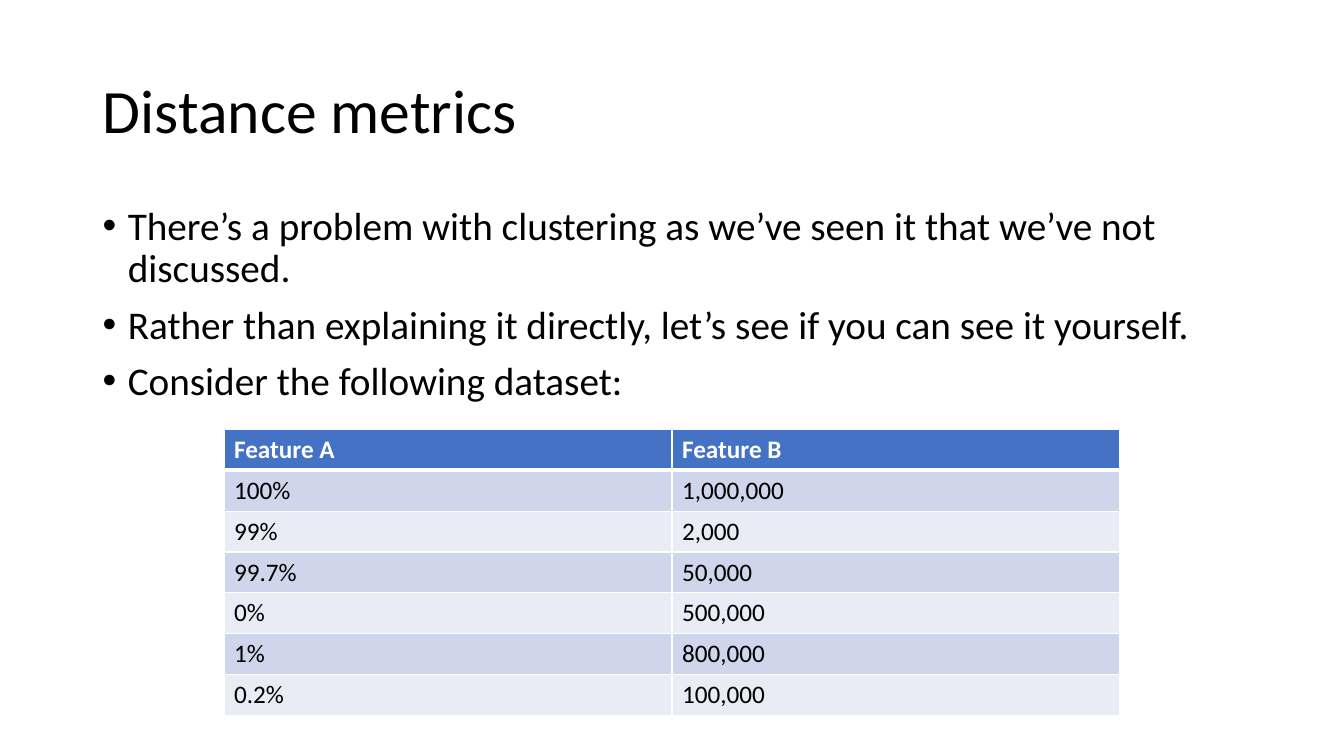
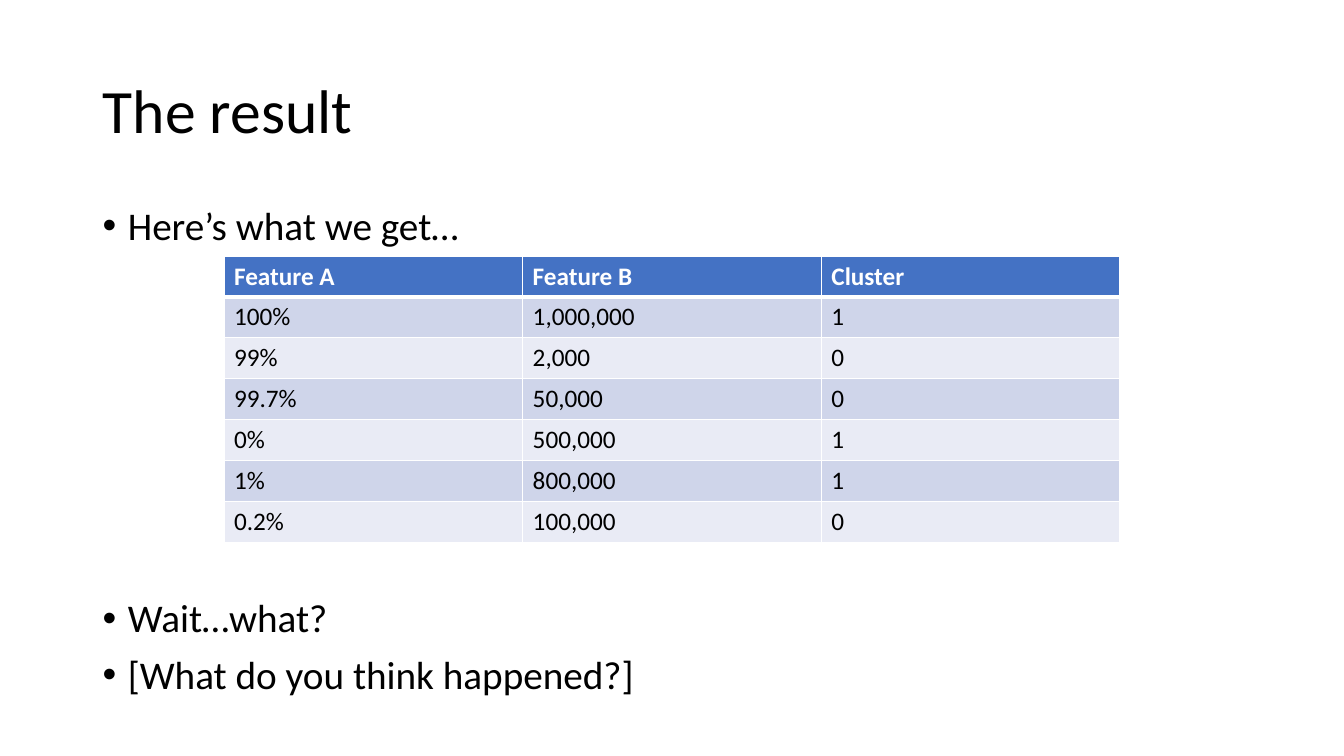
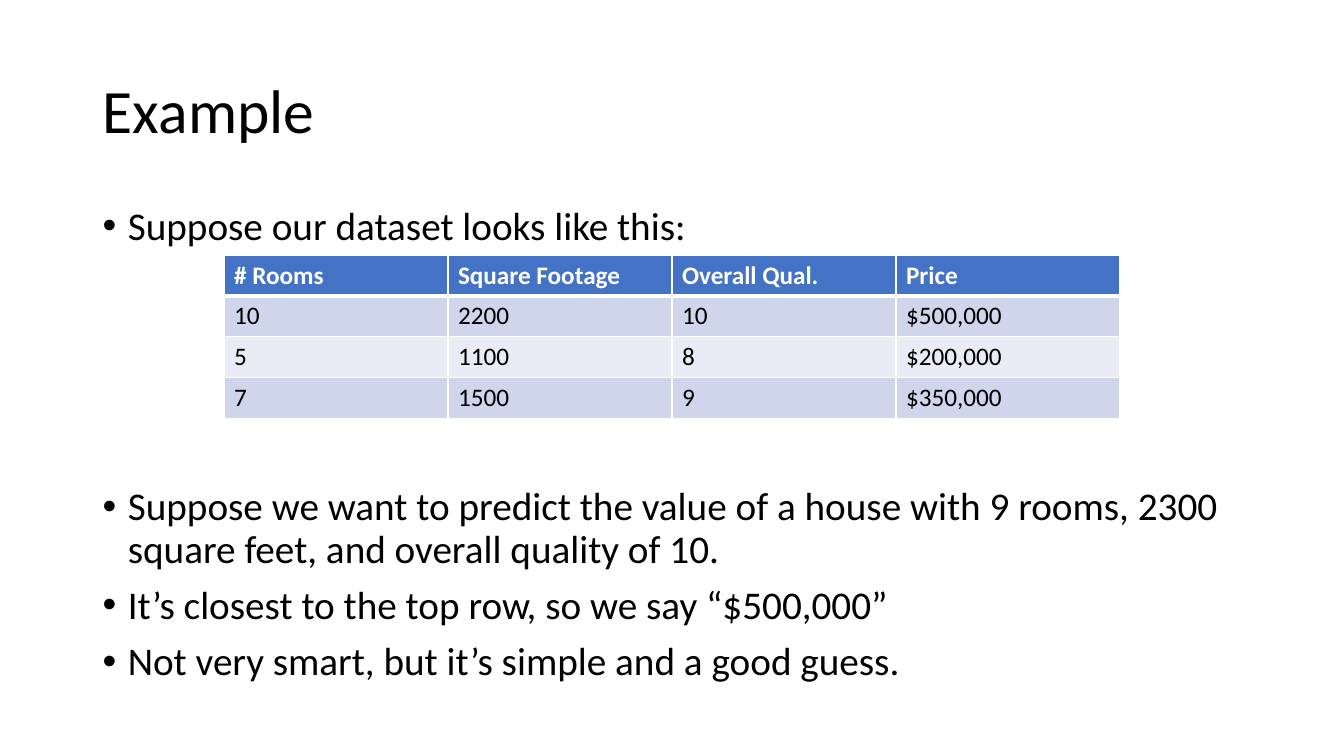
from lxml import etree
from pptx import Presentation
from pptx.dml.color import RGBColor
from pptx.enum.text import MSO_ANCHOR, MSO_AUTO_SIZE, PP_ALIGN
from pptx.oxml.ns import qn
from pptx.util import Inches, Pt

LEFT, MIDDLE, FIXED = PP_ALIGN.LEFT, MSO_ANCHOR.MIDDLE, MSO_AUTO_SIZE.NONE
TITLE_ONLY = 5

# Shared style
FONT = "Calibri"
INK = {"text": "000000", "paper": "FFFFFF", "head": "4472C4",
       "odd": "CFD5EA", "even": "E9EBF5"}
WIDE, HIGH = Inches(13.33), Inches(7.5)
COL = WIDE / 12
ROW = Pt(29.2)
STEP = 40   # points taken by one line of body text and the gap above it
GAP = 10

# Boxes: left, top, width, height
TITLE = (Inches(0.92), Inches(0.4), Inches(11.5), Inches(1.45))
BODY = (Inches(0.92), Inches(2), Inches(11.5), Inches(5.1))


def place(shape, box):
    shape.left, shape.top, shape.width, shape.height = box


def style(para, size, color, bold=False):
    para.alignment = LEFT
    font = para.font
    font.name, font.size, font.bold = FONT, Pt(size), bold
    font.color.rgb = RGBColor.from_string(INK[color])


def add_title(slide, box, text):
    title = slide.shapes.title
    place(title, box)
    frame = title.text_frame
    frame.text = text
    frame.auto_size, frame.vertical_anchor = FIXED, MIDDLE
    para = frame.paragraphs[0]
    para.line_spacing = 0.9
    style(para, 44, "text")


def add_bullets(slide, box, items, skip):
    """Write bullets; the second one starts `skip` lines lower."""
    frame = slide.shapes.add_textbox(*box).text_frame
    frame.word_wrap = True
    frame.text = "\n".join(items)
    for i, para in enumerate(frame.paragraphs):
        style(para, 28, "text")
        para.line_spacing = 0.9
        para.space_before = Pt(GAP + (STEP * skip if i == 1 else 0))
        props = para._p.get_or_add_pPr()
        props.set("marL", str(Inches(0.25)))
        props.set("indent", str(-Inches(0.25)))
        etree.SubElement(props, qn("a:buFont"), typeface="Arial")
        etree.SubElement(props, qn("a:buChar"), char="•")


def add_edges(cell, top, base):
    props = cell._tc.get_or_add_tcPr()
    for side, size in (("L", 1), ("R", 1), ("T", top), ("B", base)):
        line = etree.SubElement(props, qn("a:ln" + side), w=str(Pt(size)))
        fill = etree.SubElement(line, qn("a:solidFill"))
        etree.SubElement(fill, qn("a:srgbClr"), val=INK["paper"])


def add_grid(slide, top, rows):
    """Banded table, eight grid columns wide, with a heavy rule under its head."""
    count = len(rows[0])
    box = (int(2 * COL), top, int(8 * COL), ROW * len(rows))
    table = slide.shapes.add_table(len(rows), count, *box).table
    for col in table.columns:
        col.width = int(8 * COL / count)
    for r, row in enumerate(rows):
        table.rows[r].height = ROW
        head = r == 0
        band = "head" if head else "odd" if r % 2 else "even"
        for c, text in enumerate(row):
            cell = table.cell(r, c)
            cell.text = text
            style(cell.text_frame.paragraphs[0], 18,
                  "paper" if head else "text", head)
            add_edges(cell, 3 if r == 1 else 1, 3 if head else 1)
            cell.fill.solid()
            cell.fill.fore_color.rgb = RGBColor.from_string(INK[band])


def add_page(deck, title, items, skip, top, rows):
    slide = deck.slides.add_slide(deck.slide_layouts[TITLE_ONLY])
    add_title(slide, TITLE, title)
    add_bullets(slide, BODY, items, skip)
    add_grid(slide, Inches(top), rows)


# Content
DATA = [("Feature A", "Feature B"), ("100%", "1,000,000"), ("99%", "2,000"),
        ("99.7%", "50,000"), ("0%", "500,000"), ("1%", "800,000"),
        ("0.2%", "100,000")]
GROUPS = ("Cluster", "1", "0", "0", "1", "1", "0")
HOMES = [("# Rooms", "Square Footage", "Overall Qual.", "Price"),
         ("10", "2200", "10", "$500,000"),
         ("5", "1100", "8", "$200,000"),
         ("7", "1500", "9", "$350,000")]


def main():
    deck = Presentation()
    deck.slide_width, deck.slide_height = WIDE, HIGH
    add_page(deck, "Distance metrics", [
        "There’s a problem with clustering as we’ve seen it that we’ve not discussed.",
        "Rather than explaining it directly, let’s see if you can see it yourself.",
        "Consider the following dataset:"], 0, 4.26, DATA)
    add_page(deck, "The result", [
        "Here’s what we get…",
        "Wait…what?",
        "[What do you think happened?]"], 6, 2.54,
        [row + (group,) for row, group in zip(DATA, GROUPS)])
    add_page(deck, "Example", [
        "Suppose our dataset looks like this:",
        "Suppose we want to predict the value of a house with 9 rooms, "
        "2300 square feet, and overall quality of 10.",
        "It’s closest to the top row, so we say “$500,000”",
        "Not very smart, but it’s simple and a good guess."], 4, 2.53, HOMES)
    deck.save("out.pptx")


if __name__ == "__main__":
    main()
